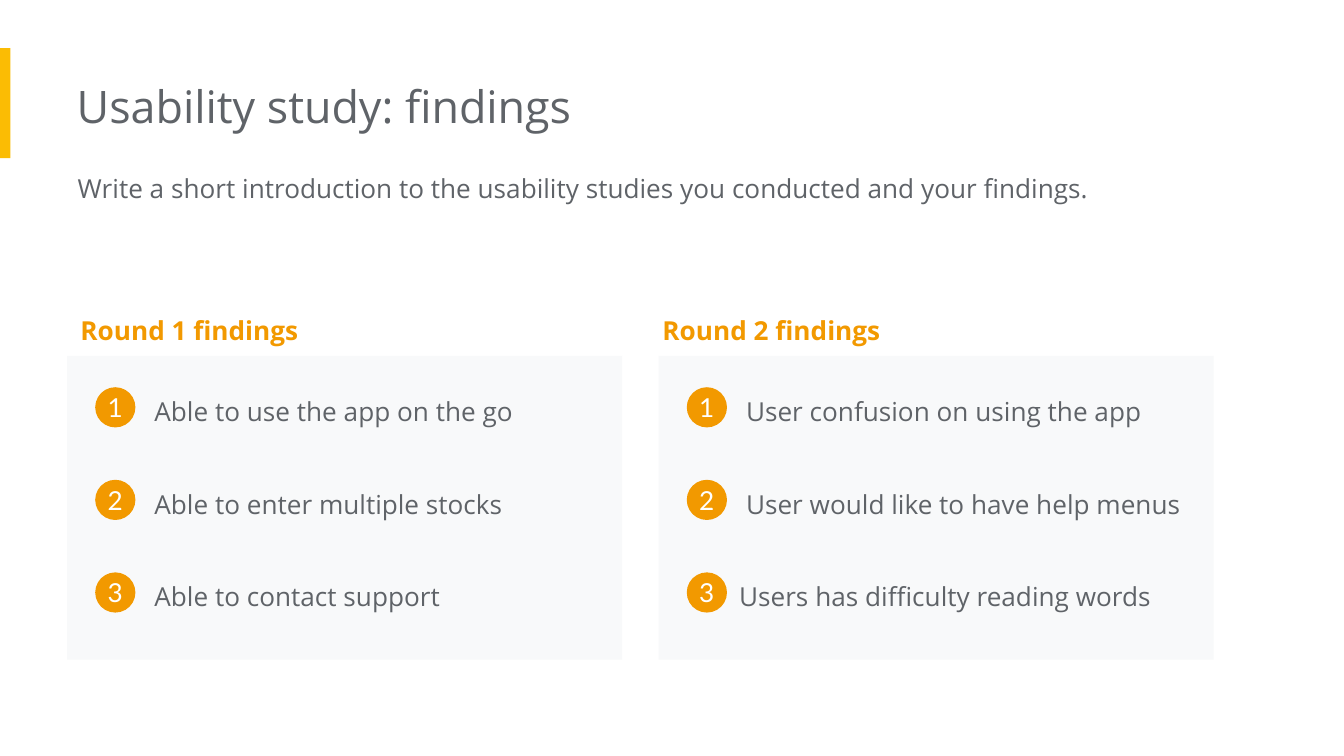
from pptx import Presentation
from pptx.dml.color import RGBColor
from pptx.enum.shapes import MSO_SHAPE
from pptx.enum.text import MSO_ANCHOR, PP_ALIGN
from pptx.util import Cm, Pt

RECTANGLE = MSO_SHAPE.RECTANGLE
OVAL = MSO_SHAPE.OVAL
MIDDLE = MSO_ANCHOR.MIDDLE
CENTER = PP_ALIGN.CENTER

YELLOW = "FBBC04"
ORANGE = "F29900"
GRAY = "5F6368"
PALE = "F8F9FA"
WHITE = "FFFFFF"

# Column layout in centimetres
PANEL_TOP, PANEL_WIDTH, PANEL_HEIGHT = 6.73, 10.49, 5.74
ROW_TOP, ROW_PITCH = 7.14, 1.75
BADGE_SIZE = 0.76
INSET = 0.25

# Left edge, heading, heading shift, findings with their text shifts
COLUMNS = [
    (1.27, "Round 1 findings", 0, [
        ("Able to use the app on the go", 0),
        ("Able to enter multiple stocks", 0),
        ("Able to contact support", 0),
    ]),
    (12.45, "Round 2 findings", -0.18, [
        ("User confusion on using the app", 0),
        ("User would like to have help menus", 0),
        ("Users has difficulty reading words", -0.13),
    ]),
]


def color(value):
    return RGBColor.from_string(value)


def write(frame, text, size=14, font="Open Sans", fill=GRAY, bold=False,
          spacing=None, align=None):
    paragraph = frame.paragraphs[0]
    paragraph.line_spacing = spacing
    paragraph.alignment = align
    run = paragraph.add_run()
    run.text = text
    run.font.name = font
    run.font.size = Pt(size)
    run.font.bold = bold
    run.font.color.rgb = color(fill)


def set_margins(frame, left, others):
    frame.margin_left = Cm(left)
    frame.margin_top = frame.margin_right = frame.margin_bottom = Cm(others)


def add_text(slide, left, top, width, height, text, inset=INSET, **style):
    box = slide.shapes.add_textbox(Cm(left), Cm(top), Cm(width), Cm(height))
    frame = box.text_frame
    frame.word_wrap = True
    set_margins(frame, inset, INSET)
    write(frame, text, **style)


def add_block(slide, kind, left, top, width, height, fill):
    shape = slide.shapes.add_shape(kind, Cm(left), Cm(top), Cm(width), Cm(height))
    shape.shadow.inherit = False
    shape.fill.solid()
    shape.fill.fore_color.rgb = color(fill)
    shape.line.fill.background()
    return shape


def add_badge(slide, left, top, number):
    badge = add_block(slide, OVAL, left, top, BADGE_SIZE, BADGE_SIZE, ORANGE)
    frame = badge.text_frame
    frame.vertical_anchor = MIDDLE
    set_margins(frame, 0, 0)
    write(frame, str(number), font="Lato", fill=WHITE, align=CENTER)


def add_column(slide, left, heading, heading_shift, findings):
    add_block(slide, RECTANGLE, left, PANEL_TOP, PANEL_WIDTH, PANEL_HEIGHT, PALE)
    add_text(slide, left + heading_shift, 5.61, 9.27, 1.12, heading,
             fill=ORANGE, bold=True, spacing=1.15)
    for index, (finding, shift) in enumerate(findings):
        top = ROW_TOP + index * ROW_PITCH
        add_text(slide, left + 1.4 + shift, top, 9.27, 1.19, finding, spacing=1.15)
        add_badge(slide, left + 0.53, top + 0.18, index + 1)


def main():
    presentation = Presentation()
    presentation.slide_width = Cm(25.4)
    presentation.slide_height = Cm(14.29)
    slide = presentation.slides.add_slide(presentation.slide_layouts[6])

    # Accent bar, title and introduction
    add_block(slide, RECTANGLE, 0, 0.91, 0.2, 2.08, YELLOW)
    add_text(slide, 1.45, 1.24, 17.09, 1.55, "Usability study: findings",
             inset=0, size=24)
    add_text(slide, 1.47, 2.92, 21.87, 1.8,
             "Write a short introduction to the usability studies you conducted "
             "and your findings.", inset=0, spacing=1.15)

    # Findings of each round
    for column in COLUMNS:
        add_column(slide, *column)

    presentation.save("out.pptx")


if __name__ == "__main__":
    main()
